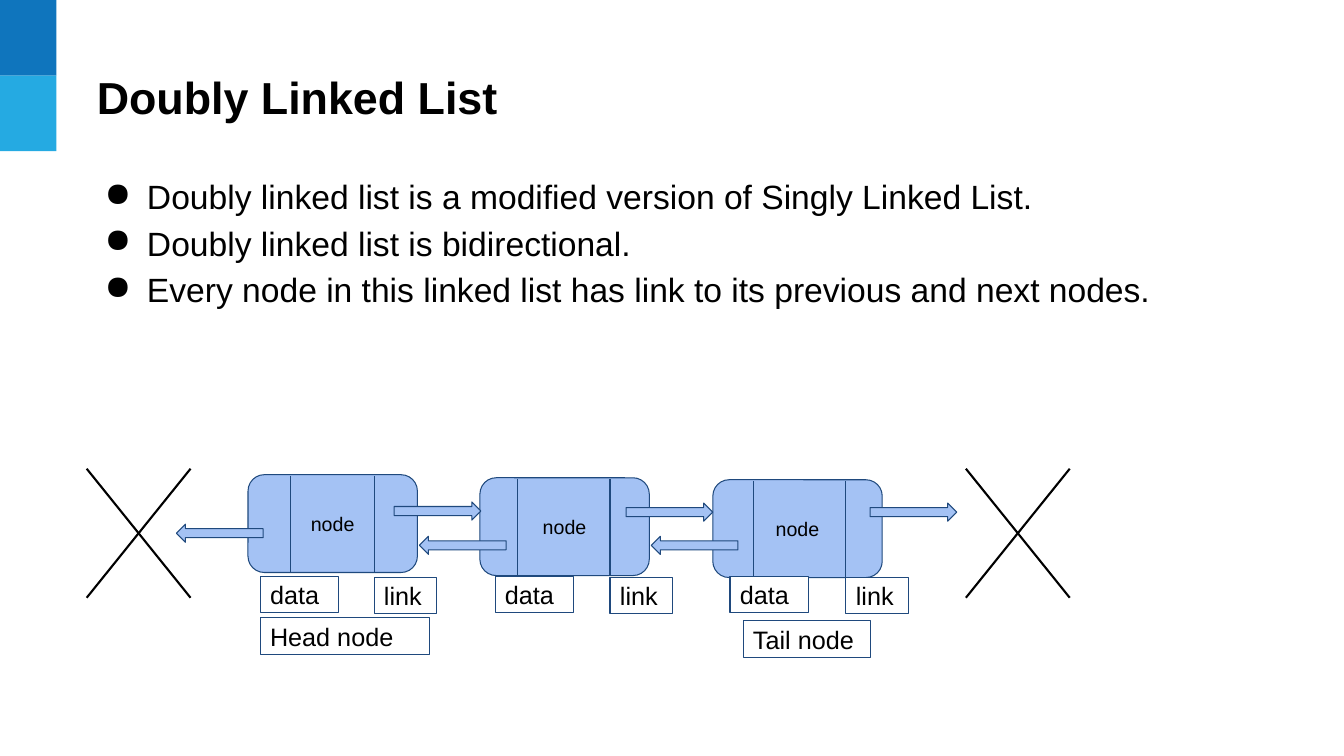
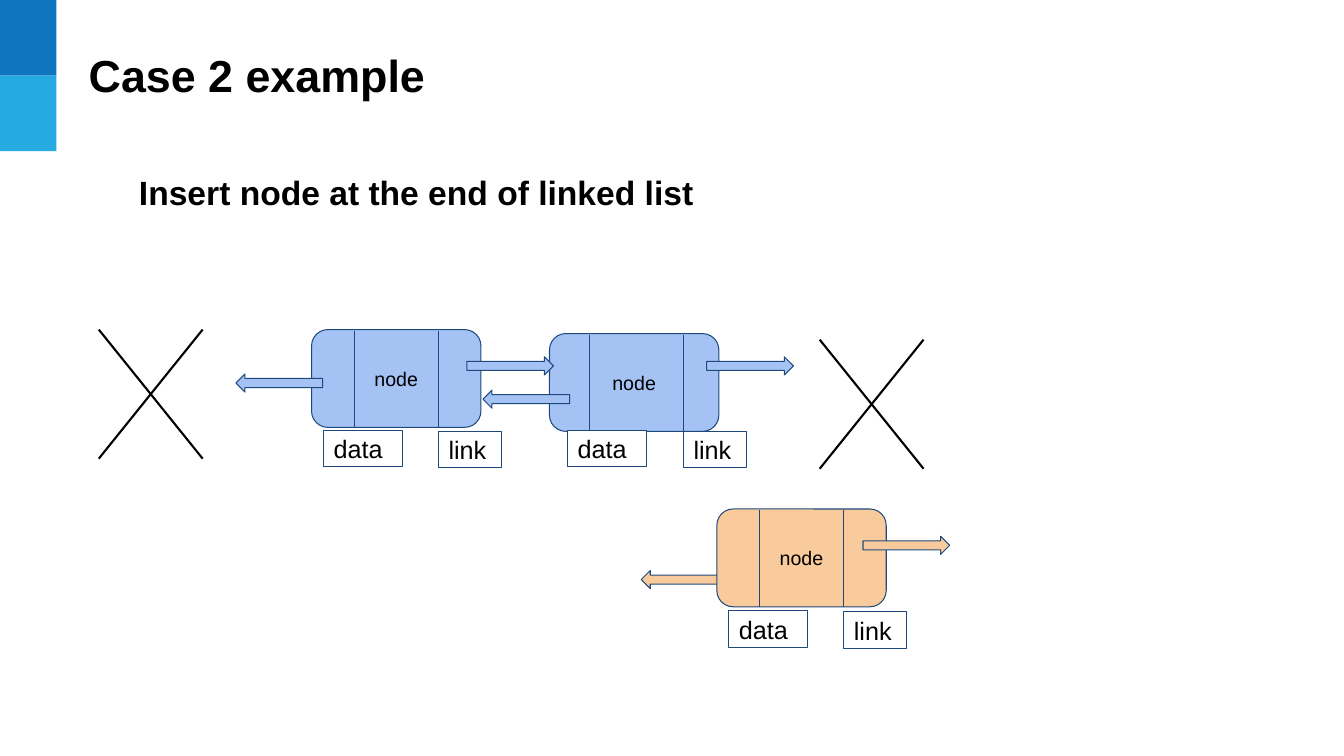
"""Build two slides that explain doubly linked lists with node diagrams."""

from dataclasses import dataclass
from typing import NamedTuple

from lxml import etree
from pptx import Presentation
from pptx.dml.color import RGBColor
from pptx.enum.shapes import MSO_CONNECTOR, MSO_SHAPE
from pptx.enum.text import MSO_ANCHOR, MSO_AUTO_SIZE, PP_ALIGN
from pptx.oxml.ns import qn
from pptx.util import Emu, Pt

RECTANGLE = MSO_SHAPE.RECTANGLE
ROUNDED = MSO_SHAPE.ROUNDED_RECTANGLE
RIGHT = MSO_SHAPE.RIGHT_ARROW
LEFT = MSO_SHAPE.LEFT_ARROW
STRAIGHT = MSO_CONNECTOR.STRAIGHT
MIDDLE = MSO_ANCHOR.MIDDLE
TOP = MSO_ANCHOR.TOP
ALIGN_LEFT = PP_ALIGN.LEFT
CENTER = PP_ALIGN.CENTER
NO_FIT = MSO_AUTO_SIZE.NONE
GROW = MSO_AUTO_SIZE.SHAPE_TO_FIT_TEXT

EMU_PER_PX = 9144
TITLE_ONLY = 5


@dataclass(frozen=True)
class Theme:
    font: str = "Arial"
    text: str = "000000"
    bands: tuple[str, ...] = ("0F75BD", "25AAE2")
    outline: str = "1F497D"
    node: str = "A4C2F4"
    new_node: str = "F9CB9C"
    label: str = "FFFFFF"
    title_size: int = 32
    body_size: int = 24
    label_size: int = 18
    node_size: int = 14
    outline_width: float = 0.75
    cross_width: float = 1.5


THEME = Theme()


class Box(NamedTuple):
    left: int
    top: int
    width: int
    height: int


class Node(NamedTuple):
    left: int
    top: int
    dividers: tuple[int, int]
    data_left: int
    labels_top: int
    fill: str = THEME.node


class Arrow(NamedTuple):
    left: int
    top: int
    direction: MSO_SHAPE
    fill: str = THEME.node


class Label(NamedTuple):
    text: str
    box: Box


class Cross(NamedTuple):
    left: int
    top: int


@dataclass(frozen=True)
class Page:
    title: str
    title_box: Box
    body: tuple[str, ...]
    body_box: Box
    bulleted: bool
    nodes: tuple[Node, ...]
    arrows: tuple[Arrow, ...]
    crosses: tuple[Cross, ...]
    labels: tuple[Label, ...] = ()
    back_arrows: tuple[Arrow, ...] = ()


PAGES = (
    Page(
        title="Doubly Linked List",
        title_box=Box(86, 51, 875, 90),
        body=(
            "Doubly linked list is a modified version of Singly Linked List.",
            "Doubly linked list is bidirectional.",
            "Every node in this linked list has link to its previous and next nodes.",
        ),
        body_box=Box(86, 159, 1186, 154),
        bulleted=True,
        nodes=(
            Node(246, 471, (288, 371), 258, 572),
            Node(476, 474, (513, 605), 491, 572),
            Node(707, 476, (747, 839), 724, 572),
        ),
        arrows=(
            Arrow(391, 498, RIGHT),
            Arrow(621, 499, RIGHT),
            Arrow(863, 499, RIGHT),
            Arrow(175, 520, LEFT),
            Arrow(416, 532, LEFT),
            Arrow(646, 532, LEFT),
        ),
        crosses=(Cross(86, 465), Cross(958, 465)),
        labels=(
            Label("Head node", Box(258, 613, 168, 36)),
            Label("Tail node", Box(737, 616, 126, 36)),
        ),
    ),
    Page(
        title="Case 2 example",
        title_box=Box(78, 29, 875, 90),
        body=("Insert node at the end of linked list",),
        body_box=Box(78, 161, 1015, 61),
        bulleted=False,
        nodes=(
            Node(309, 327, (352, 435), 321, 427),
            Node(545, 331, (585, 678), 563, 427),
            Node(711, 505, (753, 837), 723, 606, THEME.new_node),
        ),
        arrows=(
            Arrow(463, 354, RIGHT),
            Arrow(701, 354, RIGHT),
            Arrow(856, 532, RIGHT, THEME.new_node),
            Arrow(234, 371, LEFT),
            Arrow(479, 387, LEFT),
        ),
        crosses=(Cross(98, 327), Cross(813, 337)),
        back_arrows=(Arrow(636, 566, LEFT, THEME.new_node),),
    ),
)


def px(length: int) -> Emu:
    return Emu(length * EMU_PER_PX)


def color(value: str) -> RGBColor:
    return RGBColor.from_string(value)


def format_paragraph(paragraph, size: int, bold: bool = False, align=ALIGN_LEFT) -> None:
    paragraph.alignment = align
    font = paragraph.font
    font.name = THEME.font
    font.size = Pt(size)
    font.bold = bold
    font.color.rgb = color(THEME.text)


def format_frame(frame, vertical_inset: int = 10, anchor=MIDDLE, fit=NO_FIT) -> None:
    frame.word_wrap = True
    frame.auto_size = fit
    frame.vertical_anchor = anchor
    frame.margin_left = frame.margin_right = px(10)
    frame.margin_top = frame.margin_bottom = px(vertical_inset)


def add_bullet(paragraph) -> None:
    properties = paragraph._p.get_or_add_pPr()
    bullet_color = etree.SubElement(properties, qn("a:buClr"))
    etree.SubElement(bullet_color, qn("a:srgbClr"), val=THEME.text)
    etree.SubElement(properties, qn("a:buChar"), char="●")


def add_box(slide, kind: MSO_SHAPE, box: Box, fill: str, outlined: bool = True):
    shape = slide.shapes.add_shape(kind, *map(px, box))
    shape.shadow.inherit = False
    shape.fill.solid()
    shape.fill.fore_color.rgb = color(fill)
    if outlined:
        shape.line.color.rgb = color(THEME.outline)
        shape.line.width = Pt(THEME.outline_width)
    else:
        shape.line.fill.background()
    return shape


def write(shape, text: str, size: int, align=ALIGN_LEFT) -> None:
    format_frame(shape.text_frame)
    shape.text_frame.text = text
    format_paragraph(shape.text_frame.paragraphs[0], size, align=align)


def add_line(slide, start: tuple[int, int], end: tuple[int, int], line_color: str, width: float) -> None:
    connector = slide.shapes.add_connector(STRAIGHT, *map(px, start + end))
    connector.line.color.rgb = color(line_color)
    connector.line.width = Pt(width)
    etree.SubElement(connector.element.spPr, qn("a:effectLst"))


def add_node(slide, node: Node) -> None:
    shape = add_box(slide, ROUNDED, Box(node.left, node.top, 168, 97), node.fill)
    write(shape, "node", THEME.node_size, CENTER)
    for left in node.dividers:
        start, end = (left, node.top + 1), (left, node.top + 97)
        add_line(slide, start, end, THEME.outline, THEME.outline_width)


def add_arrow(slide, arrow: Arrow) -> None:
    add_box(slide, arrow.direction, Box(arrow.left, arrow.top, 86, 18), arrow.fill)


def add_label(slide, label: Label) -> None:
    shape = add_box(slide, RECTANGLE, label.box, THEME.label)
    write(shape, label.text, THEME.label_size)


def add_cross(slide, cross: Cross) -> None:
    left, top = cross
    right, bottom = left + 103, top + 128
    add_line(slide, (left, top), (right, bottom), THEME.text, THEME.cross_width)
    add_line(slide, (left, bottom), (right, top), THEME.text, THEME.cross_width)


def add_title(slide, page: Page) -> None:
    title = slide.shapes.title
    title.left, title.top, title.width, title.height = map(px, page.title_box)
    title.text_frame.text = page.title
    format_frame(title.text_frame, vertical_inset=5)
    format_paragraph(title.text_frame.paragraphs[0], THEME.title_size, bold=True)


def add_body(slide, page: Page) -> None:
    frame = slide.shapes.add_textbox(*map(px, page.body_box)).text_frame
    format_frame(frame, anchor=TOP, fit=GROW)
    frame.text = "\n".join(page.body)
    for paragraph in frame.paragraphs:
        properties = paragraph._p.get_or_add_pPr()
        properties.set("marL", str(px(50)))
        properties.set("indent", str(px(-42 if page.bulleted else 0)))
        if page.bulleted:
            add_bullet(paragraph)
            paragraph.line_spacing = 1.15
        format_paragraph(paragraph, THEME.body_size, bold=not page.bulleted)


def add_diagram(slide, page: Page) -> None:
    for arrow in page.back_arrows:
        add_arrow(slide, arrow)
    for node in page.nodes:
        add_node(slide, node)
    for node in page.nodes:
        add_label(slide, Label("data", Box(node.data_left, node.labels_top, 78, 36)))
        add_label(slide, Label("link", Box(node.dividers[1], node.labels_top + 1, 62, 36)))
    for label in page.labels:
        add_label(slide, label)
    for arrow in page.arrows:
        add_arrow(slide, arrow)
    for cross in page.crosses:
        add_cross(slide, cross)


def add_layout_bands(slide) -> None:
    for index, fill in enumerate(THEME.bands):
        band = add_box(slide, RECTANGLE, Box(0, 75 * index, 56, 75), fill, outlined=False)
        band.element.nvSpPr.cNvPr.set("id", str(100 + index))
        slide.slide_layout.shapes.element.append(band.element)


def main() -> None:
    presentation = Presentation()
    presentation.slide_width, presentation.slide_height = px(1333), px(750)
    layout = presentation.slide_layouts[TITLE_ONLY]
    for page in PAGES:
        slide = presentation.slides.add_slide(layout)
        add_title(slide, page)
        add_body(slide, page)
        add_diagram(slide, page)
    add_layout_bands(presentation.slides[0])
    presentation.save("out.pptx")


if __name__ == "__main__":
    main()
